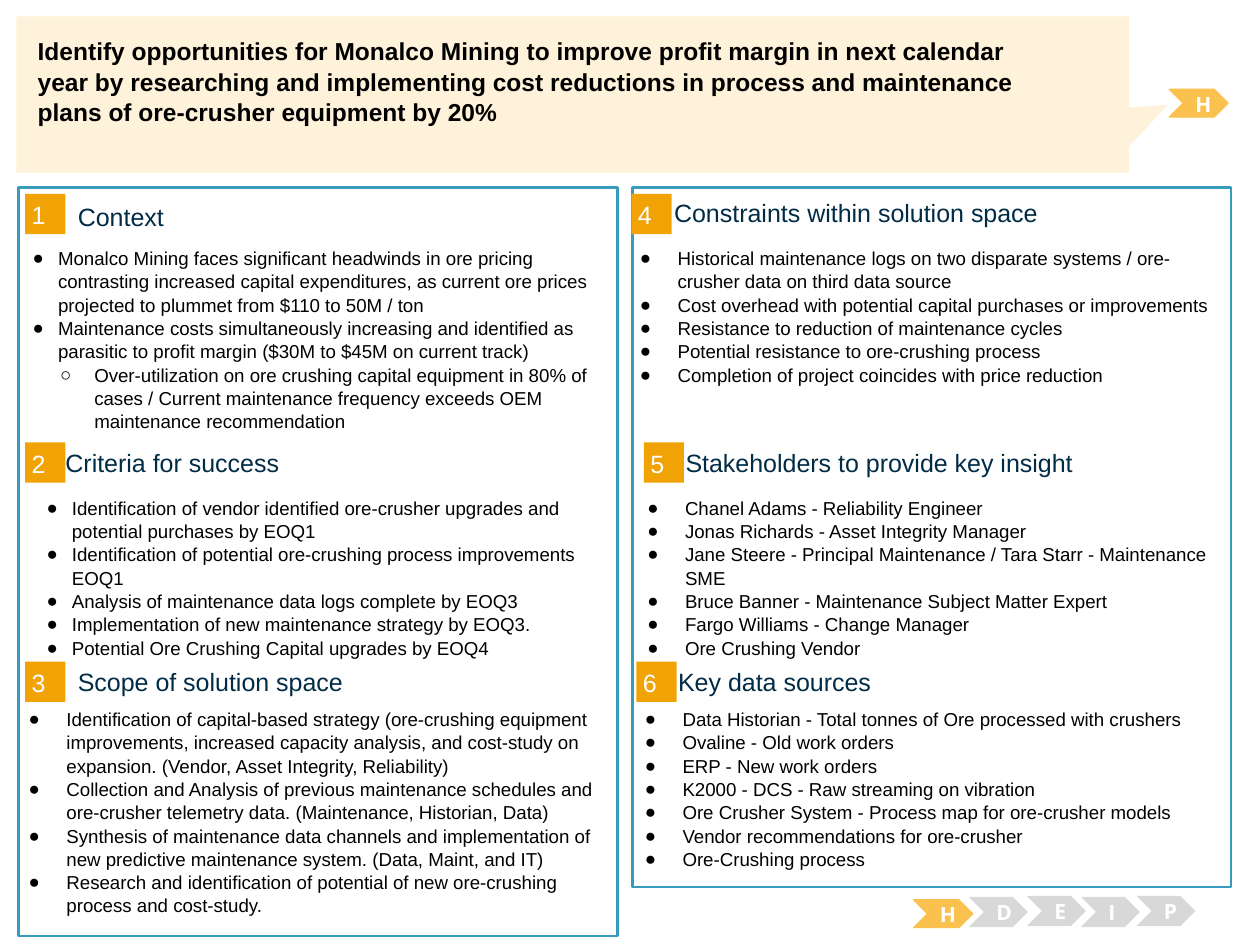
from dataclasses import dataclass

from lxml.etree import SubElement
from pptx import Presentation
from pptx.dml.color import RGBColor
from pptx.enum.shapes import MSO_SHAPE
from pptx.enum.text import MSO_ANCHOR, MSO_AUTO_SIZE, PP_ALIGN
from pptx.oxml.ns import qn
from pptx.util import Cm, Pt


@dataclass(frozen=True)
class Theme:
    """Colours, fonts and type sizes of the slide."""
    white: str = "FFFFFF"
    black: str = "000000"
    navy: str = "002C46"
    frame: str = "379BBD"
    badge: str = "F1A205"
    active: str = "FBC14E"
    idle: str = "D8D8D8"
    callout: str = "FEF2DA"
    font: str = "Arial"
    step_font: str = "Open Sans"
    title: float = 14
    heading: float = 14.3
    body: float = 10.7
    step: float = 12
    spacing: float = 1.04


T = Theme()

TITLE = ("Identify opportunities for Monalco Mining to improve profit margin in next "
         "calendar year by researching and implementing cost reductions in process and "
         "maintenance plans of ore-crusher equipment by 20%")

# All lengths are centimetres.
PANELS = [(0.38, 3.78, 12.07, 15.09), (12.75, 3.78, 12.07, 14.1)]
BADGE = 0.81
INSET = (0.25, 0.13, 0.25, 0.13)
SUB_INDENT = 0.73

# Badge and heading positions, list box, list inset, indent and hanging, items (level, text)
SECTIONS = [
    dict(title="Context", badge=(0.51, 3.91), heading=(1.57, 4.04, 10.82, 0.64),
         box=(0.41, 4.83, 12.01, 3.91), inset=INSET, indent=(0.51, -0.69), items=[
             (0, "Monalco Mining faces significant headwinds in ore pricing contrasting "
                 "increased capital expenditures, as current ore prices projected to "
                 "plummet from $110 to 50M / ton"),
             (0, "Maintenance costs simultaneously increasing and identified as parasitic "
                 "to profit margin ($30M to $45M on current track)"),
             (1, "Over-utilization on ore crushing capital equipment in 80% of cases / "
                 "Current maintenance frequency exceeds OEM maintenance recommendation")]),
    dict(title="Criteria for success", badge=(0.51, 8.92), heading=(1.32, 8.99, 10.36, 0.64),
         box=(0.43, 9.86, 12.07, 3.48), inset=(0.51, 0.13, 0.25, 0.13),
         indent=(0.51, -0.94), items=[
             (0, "Identification of vendor identified ore-crusher upgrades and potential "
                 "purchases by EOQ1"),
             (0, "Identification of potential ore-crushing process improvements EOQ1"),
             (0, "Analysis of maintenance data logs complete by EOQ3"),
             (0, "Implementation of new maintenance strategy by EOQ3."),
             (0, "Potential Ore Crushing Capital upgrades by EOQ4")]),
    dict(title="Scope of solution space", badge=(0.51, 13.34),
         heading=(1.57, 13.41, 10.08, 0.64),
         box=(0.33, 14.12, 12.19, 4.57), inset=INSET, indent=(0.76, -0.81), items=[
             (0, "Identification of capital-based strategy (ore-crushing equipment "
                 "improvements, increased capacity analysis, and cost-study on expansion. "
                 "(Vendor, Asset Integrity, Reliability)"),
             (0, "Collection and Analysis of previous maintenance schedules and ore-crusher "
                 "telemetry data. (Maintenance, Historian, Data)"),
             (0, "Synthesis of maintenance data channels and implementation of new "
                 "predictive maintenance system. (Data, Maint, and IT)"),
             (0, "Research and identification of potential of new ore-crushing process "
                 "and cost-study.")]),
    dict(title="Constraints within solution space", badge=(12.73, 3.91),
         heading=(13.59, 3.86, 10.21, 0.81),
         box=(12.65, 4.83, 12.01, 3.63), inset=INSET, indent=(0.76, -0.94), items=[
             (0, "Historical maintenance logs on two disparate systems / ore-crusher data "
                 "on third data source"),
             (0, "Cost overhead with potential capital purchases or improvements"),
             (0, "Resistance to reduction of maintenance cycles"),
             (0, "Potential resistance to ore-crushing process"),
             (0, "Completion of project coincides with price reduction")]),
    dict(title="Stakeholders to provide key insight", badge=(12.98, 8.92),
         heading=(13.82, 8.99, 10.21, 0.64),
         box=(12.8, 9.86, 12.01, 3), inset=INSET, indent=(0.76, -0.94), items=[
             (0, "Chanel Adams - Reliability Engineer"),
             (0, "Jonas Richards - Asset Integrity Manager"),
             (0, "Jane Steere - Principal Maintenance / Tara Starr - Maintenance SME"),
             (0, "Bruce Banner - Maintenance Subject Matter Expert"),
             (0, "Fargo Williams - Change Manager"),
             (0, "Ore Crushing Vendor")]),
    dict(title="Key data sources", badge=(12.83, 13.34), heading=(13.67, 13.41, 10.36, 0.64),
         box=(12.75, 14.12, 12.01, 3.76), inset=INSET, indent=(0.76, -0.81), items=[
             (0, "Data Historian - Total tonnes of Ore processed with crushers"),
             (0, "Ovaline - Old work orders"),
             (0, "ERP - New work orders"),
             (0, "K2000 - DCS - Raw streaming on vibration"),
             (0, "Ore Crusher System - Process map for ore-crusher models"),
             (0, "Vendor recommendations for ore-crusher"),
             (0, "Ore-Crushing process")]),
]

# Letter, position and size, active
STEPS = [
    ("H", (18.42, 18.14, 1.19, 0.56), True),
    ("D", (19.53, 18.08, 1.19, 0.61), False),
    ("E", (20.7, 18.06, 1.19, 0.61), False),
    ("I", (21.79, 18.08, 1.19, 0.61), False),
    ("P", (22.91, 18.06, 1.19, 0.61), False),
    ("H", (23.57, 1.8, 1.19, 0.56), True),
]


def rgb(code):
    """Turn a hex code into a colour."""
    return RGBColor.from_string(code)


def add_box(s, kind, box, fill, line=None, width=0.75):
    """Add a flat preset shape."""
    sp = s.shapes.add_shape(kind, *map(Cm, box))
    sp.shadow.inherit = False
    sp.fill.solid()
    sp.fill.fore_color.rgb = rgb(fill)
    if line:
        sp.line.color.rgb = rgb(line)
        sp.line.width = Pt(width)
    else:
        sp.line.fill.background()
    return sp


def set_frame(sp, inset, anchor=MSO_ANCHOR.TOP):
    """Set wrapping, insets and anchor; return the text frame."""
    tf = sp.text_frame
    tf.word_wrap = True
    tf.auto_size = MSO_AUTO_SIZE.NONE
    tf.vertical_anchor = anchor
    tf.margin_left, tf.margin_top, tf.margin_right, tf.margin_bottom = map(Cm, inset)
    return tf


def add_run(p, text, size, color, font=T.font, bold=False, align=PP_ALIGN.LEFT):
    """Add one formatted run to a paragraph."""
    p.alignment = align
    p.line_spacing = T.spacing
    p.space_before = p.space_after = Pt(0)
    r = p.add_run()
    r.text = text
    r.font.size, r.font.name, r.font.bold = Pt(size), font, bold
    r.font.color.rgb = rgb(color)


def add_bullet(p, char, left, hanging):
    """Give a paragraph a bullet and a hanging indent."""
    pPr = p._p.get_or_add_pPr()
    pPr.set("marL", str(Cm(left)))
    pPr.set("indent", str(Cm(hanging)))
    SubElement(SubElement(pPr, qn("a:buClr")), qn("a:srgbClr")).set("val", T.black)
    SubElement(pPr, qn("a:buFont")).set("typeface", T.font)
    SubElement(pPr, qn("a:buChar")).set("char", char)


def place(sp, box):
    """Move a placeholder to the front and to its box."""
    sp.left, sp.top, sp.width, sp.height = map(Cm, box)
    sp._element.getparent().append(sp._element)
    return sp


def add_section(s, number, section, body):
    """Add a numbered badge, a heading and a bullet list."""
    sp = add_box(s, MSO_SHAPE.RECTANGLE, (*section["badge"], BADGE, BADGE), T.badge)
    tf = set_frame(sp, (0.13,) * 4, MSO_ANCHOR.MIDDLE)
    add_run(tf.paragraphs[0], str(number), T.heading, T.white)

    sp = s.shapes.add_textbox(*map(Cm, section["heading"]))
    tf = set_frame(sp, (0,) * 4, MSO_ANCHOR.MIDDLE)
    add_run(tf.paragraphs[0], section["title"], T.heading, T.navy)

    box = section["box"]
    sp = place(body, box) if body else s.shapes.add_textbox(*map(Cm, box))
    tf = set_frame(sp, section["inset"])
    left, hanging = section["indent"]
    for i, (level, text) in enumerate(section["items"]):
        p = tf.add_paragraph() if i else tf.paragraphs[0]
        p.level = level
        add_run(p, text, T.body, T.black)
        add_bullet(p, "●○"[level], left + level * SUB_INDENT, hanging)


def add_step(s, letter, box, active):
    """Add one chevron of the step tracker."""
    fill = T.active if active else T.idle
    sp = add_box(s, MSO_SHAPE.CHEVRON, box, fill, T.active if active else None)
    tf = set_frame(sp, INSET, MSO_ANCHOR.MIDDLE)
    add_run(tf.paragraphs[0], letter, T.step, T.white, T.step_font, True, PP_ALIGN.CENTER)


prs = Presentation()
prs.slide_width, prs.slide_height = Cm(25.4), Cm(19.05)
s = prs.slides.add_slide(prs.slide_layouts[3])
# The first list of each column sits in a body placeholder.
bodies = {1: s.placeholders[1], 4: s.placeholders[2]}

for panel in PANELS:
    add_box(s, MSO_SHAPE.RECTANGLE, panel, T.white, T.frame, 1.5)
for number, section in enumerate(SECTIONS, 1):
    add_section(s, number, section, bodies.get(number))
for step in STEPS:
    add_step(s, *step)

callout = add_box(s, MSO_SHAPE.RECTANGULAR_CALLOUT, (0.33, 0.33, 22.43, 3.15), T.callout)
callout.adjustments[0], callout.adjustments[1] = 0.535, 0.066
title = place(s.shapes.title, (0.51, 0.58, 20.68, 2.77))
add_run(set_frame(title, INSET).paragraphs[0], TITLE, T.title, T.black, bold=True)

prs.save("out.pptx")
